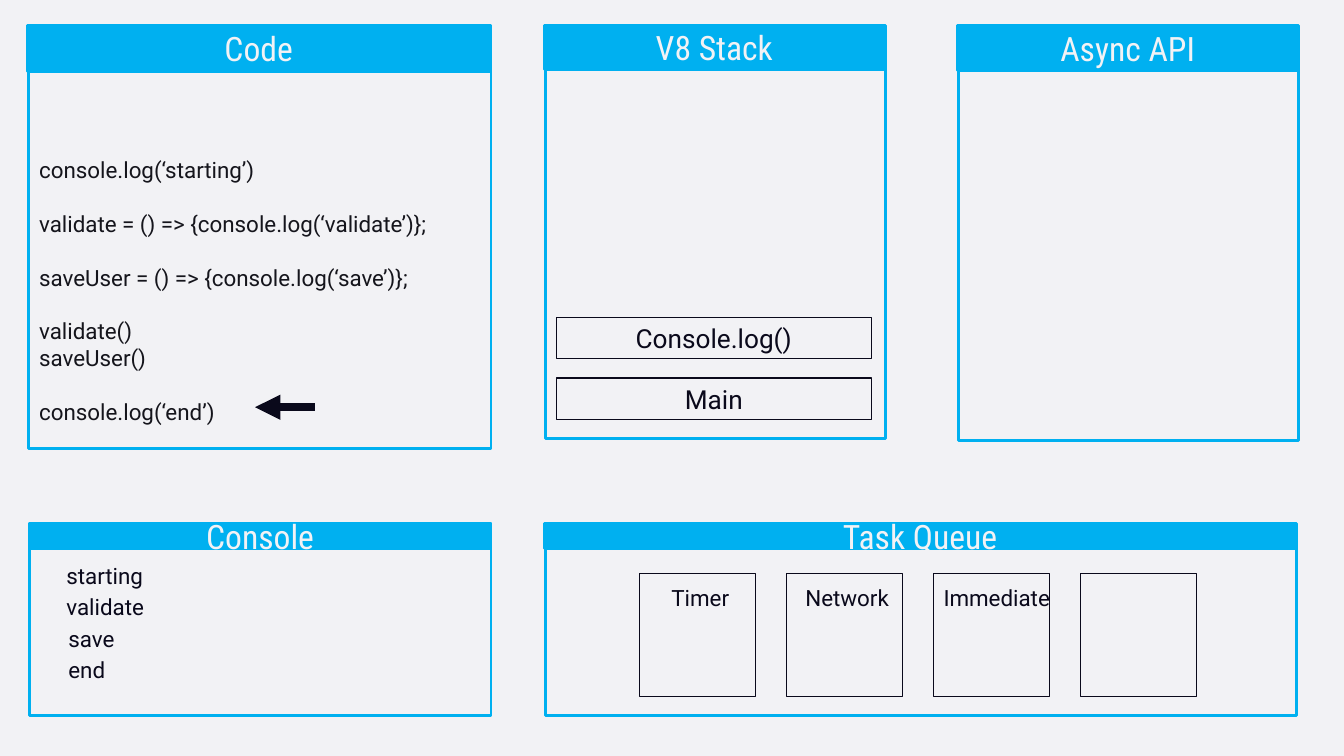
from lxml import etree
from pptx import Presentation
from pptx import util as u
from pptx.dml.color import RGBColor
from pptx.enum import shapes, text
from pptx.oxml.ns import qn

BLUE = RGBColor(0x00, 0xB0, 0xF0)
PALE = RGBColor(0xF2, 0xF2, 0xF5)
INK = RGBColor(0x0A, 0x09, 0x1B)
CODE_INK = RGBColor(0x15, 0x15, 0x1C)

CODE_LINES = [
    ("console.log(‘starting’)", False),
    ("validate = () => {console.log(‘validate’)};", True),
    ("saveUser = () => {console.log(‘save’)};", True),
    ("validate()", True),
    ("saveUser()", False),
    ("console.log(‘end’)", True),
]
PANELS = [
    ("Code", 0.28, 0.27, 0.25, 4.59, 4.2, 0.46),
    ("Console", 0.29, 0.29, 5.19, 4.58, 1.91, 0.25),
    ("V8 Stack", 5.41, 5.4, 0.25, 3.37, 4.1, 0.44),
    ("Async API", 9.51, 9.5, 0.25, 3.37, 4.12, 0.45),
    ("Task Queue", 5.41, 5.4, 5.19, 7.45, 1.91, 0.25),
]
QUEUES = [("Timer", 6.56, 0.78), ("Network", 7.89, 1.04), ("Immediate", 9.26, 1.27)]
OUTPUT = [("starting", 0.56, 0.97), ("validate", 0.56, 0.98),
          ("save", 0.58, 0.67), ("end", 0.58, 0.57)]
CALLS = [("Main", 3.75), ("Console.log()", 3.15)]


class EventLoopSlide:
    body_font = "Roboto"
    title_font = "Roboto Condensed"

    def __init__(self, deck):
        self.page = deck.slides.add_slide(deck.slide_layouts[6])
        self.page.background.fill.solid()
        self.page.background.fill.fore_color.rgb = PALE

    def add_span(self, para, words, size, color, font=body_font):
        span = para.add_run()
        span.text = words
        span.font.size = u.Pt(size)
        span.font.name = font
        span.font.color.rgb = color

    def box(self, left, top, width, height, line, weight, fill=None,
            kind=shapes.MSO_SHAPE.RECTANGLE):
        box = self.page.shapes.add_shape(
            kind, u.Inches(left), u.Inches(top), u.Inches(width), u.Inches(height))
        box.shadow.inherit = False
        box.line.color.rgb = line
        box.line.width = u.Pt(weight)
        if fill is None:
            box.fill.background()
        else:
            box.fill.solid()
            box.fill.fore_color.rgb = fill
        return box

    def center(self, box, words, size, color, font=body_font):
        frame = box.text_frame
        frame.word_wrap = True
        frame.vertical_anchor = text.MSO_ANCHOR.MIDDLE
        para = frame.paragraphs[0]
        para.alignment = text.PP_ALIGN.CENTER
        self.add_span(para, words, size, color, font)

    def panel(self, title, left, header_left, top, width, height, header_height):
        self.box(left, top, width, height, BLUE, 2)
        header = self.box(header_left, top, width, header_height, BLUE, 2, BLUE,
                          shapes.MSO_SHAPE.FLOWCHART_PROCESS)
        self.center(header, title, 24, PALE, self.title_font)

    def call(self, words, top):
        box = self.box(5.52, top, 3.12, 0.41, INK, 0.75)
        frame = box.text_frame
        frame.margin_left = frame.margin_right = u.Inches(0.07)
        frame.margin_top = frame.margin_bottom = u.Inches(0.03)
        self.center(box, words, 18.7, INK)

    def text_box(self, left, top, width, height, wrap):
        box = self.page.shapes.add_textbox(
            u.Inches(left), u.Inches(top), u.Inches(width), u.Inches(height))
        box.text_frame.word_wrap = wrap
        return box.text_frame

    def label(self, words, left, top, width):
        frame = self.text_box(left, top, width, 0.37, False)
        self.add_span(frame.paragraphs[0], words, 16, INK)

    def code(self, lines):
        frame = self.text_box(0.29, 1.5, 4.57, 2.79, True)
        for index, (words, gap) in enumerate(lines):
            para = frame.add_paragraph() if index else frame.paragraphs[0]
            if gap:
                para.space_before = u.Pt(19.2)
            self.add_span(para, words, 16, CODE_INK)

    def arrow(self, start, end, top):
        arrow = self.page.shapes.add_connector(
            shapes.MSO_CONNECTOR.STRAIGHT,
            u.Inches(start), u.Inches(top), u.Inches(end), u.Inches(top))
        arrow.line.color.rgb = INK
        arrow.line.width = u.Pt(6)
        properties = arrow._element.spPr
        etree.SubElement(properties.find(qn("a:ln")), qn("a:tailEnd"), type="triangle")
        etree.SubElement(properties, qn("a:effectLst"))


def main():
    deck = Presentation()
    deck.slide_width = u.Inches(13.33)
    deck.slide_height = u.Inches(7.5)
    page = EventLoopSlide(deck)
    for panel in PANELS:
        page.panel(*panel)
    page.code(CODE_LINES)
    for column in range(4):
        page.box(6.34 + 1.46 * column, 5.69, 1.15, 1.22, INK, 0.75)
    for words, left, width in QUEUES:
        page.label(words, left, 5.75, width)
    for words, top in CALLS:
        page.call(words, top)
    for row, (words, left, width) in enumerate(OUTPUT):
        page.label(words, left, 5.53 + 0.31 * row, width)
    page.arrow(3.12, 2.53, 4.04)
    deck.save("out.pptx")


if __name__ == "__main__":
    main()
